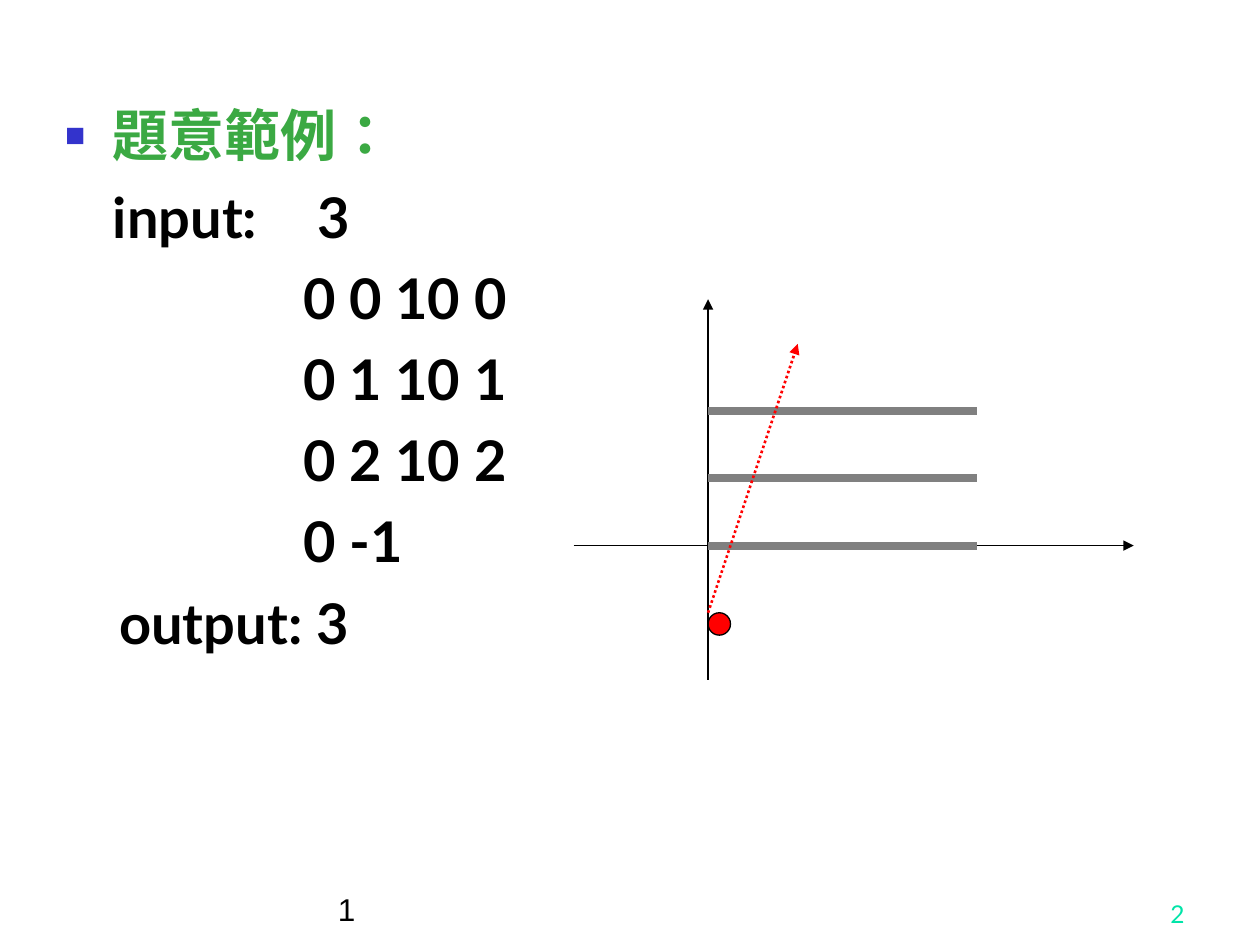
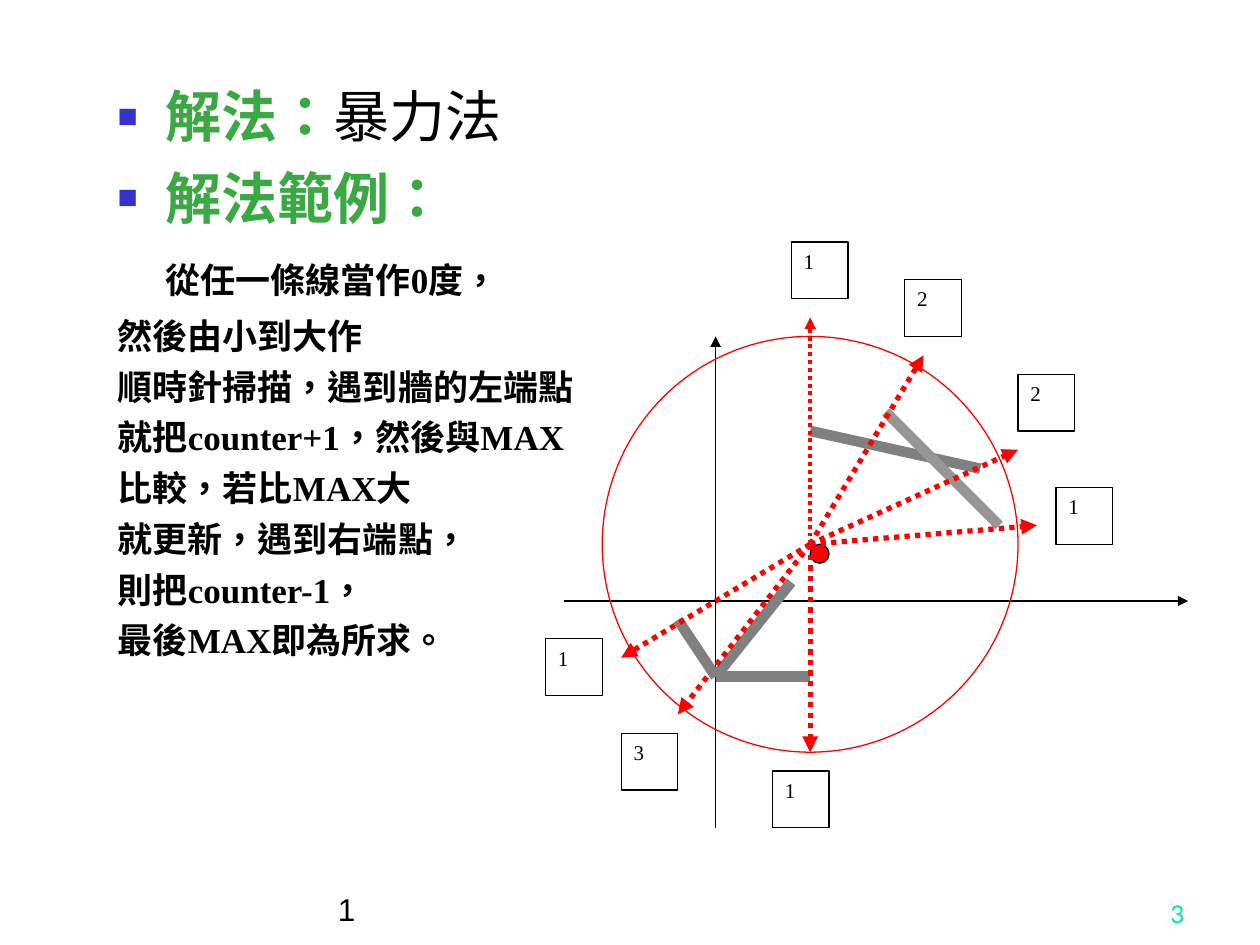
import dataclasses

import lxml.etree
import pptx
import pptx.dml.color
import pptx.enum.dml
import pptx.enum.shapes
import pptx.enum.text
import pptx.oxml.ns
import pptx.util


@dataclasses.dataclass(frozen=True)
class Theme:
    """Colours, fonts and type sizes shared by the slides."""

    ink: str = "000000"
    paper: str = "FFFFFF"
    heading: str = "3BA943"
    bullet: str = "3333CC"
    wall: str = "808080"
    light_wall: str = "969696"
    ray: str = "FF0000"
    page: str = "00E4A8"
    serif: str = "Times New Roman"
    sans: str = "Lato"
    footer_font: str = "Arial"
    large: int = 32
    body: int = 20
    footer: int = 18
    number: int = 14
    label: int = 12
    hairline: float = 0.75
    hanging: float = 0.38


def rgb(code):
    """Turn a hex code into a colour."""
    return pptx.dml.color.RGBColor.from_string(code)


def add_child(parent, tag, **attributes):
    """Append a drawing element with the given attributes."""
    return lxml.etree.SubElement(parent, pptx.oxml.ns.qn(tag), attributes)


class Deck:
    """Hold the style, the current slide and the plotting grid."""

    COLUMNS, ROWS = 120, 90

    def __init__(self, theme):
        """Start an empty 10 by 7.5 inch presentation."""
        self.theme = theme
        self.presentation = pptx.Presentation()
        self.presentation.slide_width = pptx.util.Inches(10)
        self.presentation.slide_height = pptx.util.Inches(7.5)
        self.slide = None
        self.origin, self.unit = (0, 0), 1

    def cells(self, column, row, columns, rows):
        """Convert a block of the page grid to lengths."""
        across = self.presentation.slide_width / self.COLUMNS
        down = self.presentation.slide_height / self.ROWS
        return [round(n) for n in (column * across, row * down, columns * across, rows * down)]

    def add_slide(self, page, origin, unit):
        """Add a slide with its footer and set the origin and unit of its plot."""
        self.slide = self.presentation.slides.add_slide(self.presentation.slide_layouts[1])
        title = self.slide.shapes.title.element
        title.getparent().remove(title)
        self.origin, self.unit = origin, unit
        theme, align = self.theme, pptx.enum.text.PP_ALIGN
        self.footer("1", (31, 83, 65, 6), theme.footer_font, theme.footer, theme.ink, align.LEFT)
        self.footer(page, (89, 83, 25, 6), theme.sans, theme.number, theme.page, align.RIGHT)

    def footer(self, text, block, font, size, color, align):
        """Add one bottom-anchored footer text."""
        frame = self.slide.shapes.add_textbox(*self.cells(*block)).text_frame
        frame.word_wrap = True
        frame.vertical_anchor = pptx.enum.text.MSO_ANCHOR.BOTTOM
        frame.paragraphs[0].alignment = align
        self.run(frame.paragraphs[0], text, font, size, color)

    def run(self, paragraph, text, font, size, color, bold=False):
        """Add one formatted run."""
        run = paragraph.add_run()
        run.text = text
        run.font.name, run.font.size, run.font.bold = font, pptx.util.Pt(size), bold
        run.font.color.rgb = rgb(color)
        run.font._element.set("lang", "zh-TW")

    def body(self, block):
        """Place the body placeholder and return its text frame."""
        holder = self.slide.placeholders[1]
        holder.left, holder.top, holder.width, holder.height = self.cells(*block)
        holder.text_frame.word_wrap = True
        holder.text_frame.auto_size = pptx.enum.text.MSO_AUTO_SIZE.NONE
        return holder.text_frame

    def paragraph(self, frame, before):
        """Return the next paragraph, spaced from the one above."""
        first = frame.paragraphs[0]
        is_first = not first.runs
        paragraph = first if is_first else frame.add_paragraph()
        paragraph.space_before = pptx.util.Pt(0 if is_first else before)
        return paragraph

    def heading(self, frame, text, detail=""):
        """Add a bulleted green heading with an optional plain detail."""
        theme = self.theme
        paragraph = self.paragraph(frame, 8)
        margin = pptx.util.Inches(theme.hanging)
        properties = paragraph._p.get_or_add_pPr()
        properties.set("marL", str(margin))
        properties.set("indent", str(-margin))
        add_child(add_child(properties, "a:buClr"), "a:srgbClr", val=theme.bullet)
        add_child(properties, "a:buSzPct", val="60000")
        add_child(properties, "a:buFont", typeface=theme.footer_font)
        add_child(properties, "a:buChar", char="■")
        self.run(paragraph, text, theme.serif, theme.large, theme.heading, True)
        if detail:
            self.run(paragraph, detail, theme.serif, theme.large, theme.ink)

    def line(self, frame, text, font, size, indent=0, before=8, tab=None):
        """Add a bold line without a bullet, its first line indented."""
        paragraph = self.paragraph(frame, before)
        properties = paragraph._p.get_or_add_pPr()
        properties.set("marL", "0")
        properties.set("indent", str(pptx.util.Inches(indent)))
        add_child(properties, "a:buNone")
        if tab:
            stops = add_child(properties, "a:tabLst")
            add_child(stops, "a:tab", pos=str(pptx.util.Inches(tab)), algn="l")
        self.run(paragraph, text, font, size, self.theme.ink, True)

    def point(self, x, y):
        """Convert plot coordinates, y upward, to a place on the slide."""
        left, top = self.origin
        return pptx.util.Inches(left + x * self.unit), pptx.util.Inches(top - y * self.unit)

    def stroke(self, start, end, color, width, arrow=False, dotted=False):
        """Draw a straight line between two plot points."""
        connector = self.slide.shapes.add_connector(
            pptx.enum.shapes.MSO_CONNECTOR.STRAIGHT, *self.point(*start), *self.point(*end))
        connector.line.color.rgb = rgb(color)
        connector.line.width = pptx.util.Pt(width)
        if dotted:
            connector.line.dash_style = pptx.enum.dml.MSO_LINE.ROUND_DOT
        if arrow:
            add_child(connector.line._get_or_add_ln(), "a:tailEnd", type="triangle")
        add_child(connector._element.spPr, "a:effectLst")

    def axes(self, left, right, bottom, top):
        """Draw both axes through the plot origin."""
        for start, end in (((left, 0), (right, 0)), ((0, bottom), (0, top))):
            self.stroke(start, end, self.theme.ink, self.theme.hairline, arrow=True)

    def ray(self, start, end, width):
        """Draw a dotted red arrow."""
        self.stroke(start, end, self.theme.ray, width, arrow=True, dotted=True)

    def outline(self, kind, corner, size, fill, color):
        """Add a square-bounded shape from its top left plot point."""
        side = pptx.util.Inches(size * self.unit)
        shape = self.slide.shapes.add_shape(kind, *self.point(*corner), side, side)
        shape.shadow.inherit = False
        if fill:
            shape.fill.solid()
            shape.fill.fore_color.rgb = rgb(fill)
        else:
            shape.fill.background()
        shape.line.color.rgb = rgb(color)
        shape.line.width = pptx.util.Pt(self.theme.hairline)
        return shape

    def circle(self, corner, size, fill, color):
        """Add a circle."""
        self.outline(pptx.enum.shapes.MSO_SHAPE.OVAL, corner, size, fill, color)

    def counter(self, text, corner):
        """Add a boxed counter value."""
        theme = self.theme
        box = self.outline(pptx.enum.shapes.MSO_SHAPE.RECTANGLE, corner, 3, theme.paper, theme.ink)
        box.text_frame.vertical_anchor = pptx.enum.text.MSO_ANCHOR.TOP
        paragraph = box.text_frame.paragraphs[0]
        paragraph.alignment = pptx.enum.text.PP_ALIGN.LEFT
        self.run(paragraph, text, theme.serif, theme.label, theme.ink)


def problem_example(deck):
    """Show the sample input and its three walls."""
    theme = deck.theme
    deck.add_slide("2", origin=(5.62, 4.33), unit=1.6 / 9)
    text = deck.body((5, 9, 106, 74))
    deck.heading(text, "題意範例：")
    deck.line(text, "input:\t3", theme.sans, theme.large, theme.hanging, tab=1.84)
    for row in ("0 0 10 0", "0 1 10 1", "0 2 10 2", "0 -1"):
        deck.line(text, row, theme.sans, theme.large, 1.89)
    deck.line(text, "output: 3", theme.sans, theme.large, 0.43)

    deck.axes(-6, 19, -6, 11)
    for height in (3, 0, 6):
        deck.stroke((0, height), (12, height), theme.wall, 4.5)
    deck.circle((0, -3), 1, theme.ray, theme.ink)
    deck.ray((0, -3), (4, 9), 1.5)


def sweep_solution(deck):
    """Show the brute-force sweep and the counter at each ray."""
    theme = deck.theme
    deck.add_slide("3", origin=(5.68, 4.77), unit=0.15)
    text = deck.body((10, 7.2, 102, 74))
    deck.heading(text, "解法：", "暴力法")
    deck.heading(text, "解法範例：")
    deck.line(text, "從任一條線當作0度，", theme.serif, theme.body, theme.hanging, before=16)
    steps = ("然後由小到大作", "順時針掃描，遇到牆的左端點", "就把counter+1，然後與MAX",
             "比較，若比MAX大", "就更新，遇到右端點，", "則把counter-1，", "最後MAX即為所求。")
    for index, step in enumerate(steps):
        deck.line(text, step, theme.serif, theme.body, before=5 if index else 8)

    viewer = (5, 3)
    deck.axes(-8, 25, -12, 14)
    deck.stroke((5, 9), (14, 7), theme.wall, 6)
    deck.stroke((9, 10), (15, 4), theme.light_wall, 6)
    deck.stroke((4, 1), (0, -4), theme.wall, 6)
    deck.circle(viewer, 1, theme.ray, theme.ink)
    deck.ray(viewer, (5, 15), 2.25)
    for target in ((11, 13), (16, 8), (17, 4), (-2, -6)):
        deck.ray(viewer, target, 3)
    deck.circle((-6, 14), 22, None, theme.ray)
    for end in ((5, -4), (-2, -1)):
        deck.stroke((0, -4), end, theme.wall, 6)
    for target in ((5, -8), (-5, -3)):
        deck.ray(viewer, target, 3)
    counters = (("1", (4, 19)), ("2", (10, 17)), ("2", (16, 12)), ("1", (18, 6)),
                ("1", (3, -9)), ("3", (-5, -7)), ("1", (-9, -2)))
    for value, corner in counters:
        deck.counter(value, corner)


def main():
    """Build both slides and save them."""
    deck = Deck(Theme())
    problem_example(deck)
    sweep_solution(deck)
    deck.presentation.save("out.pptx")


if __name__ == "__main__":
    main()
